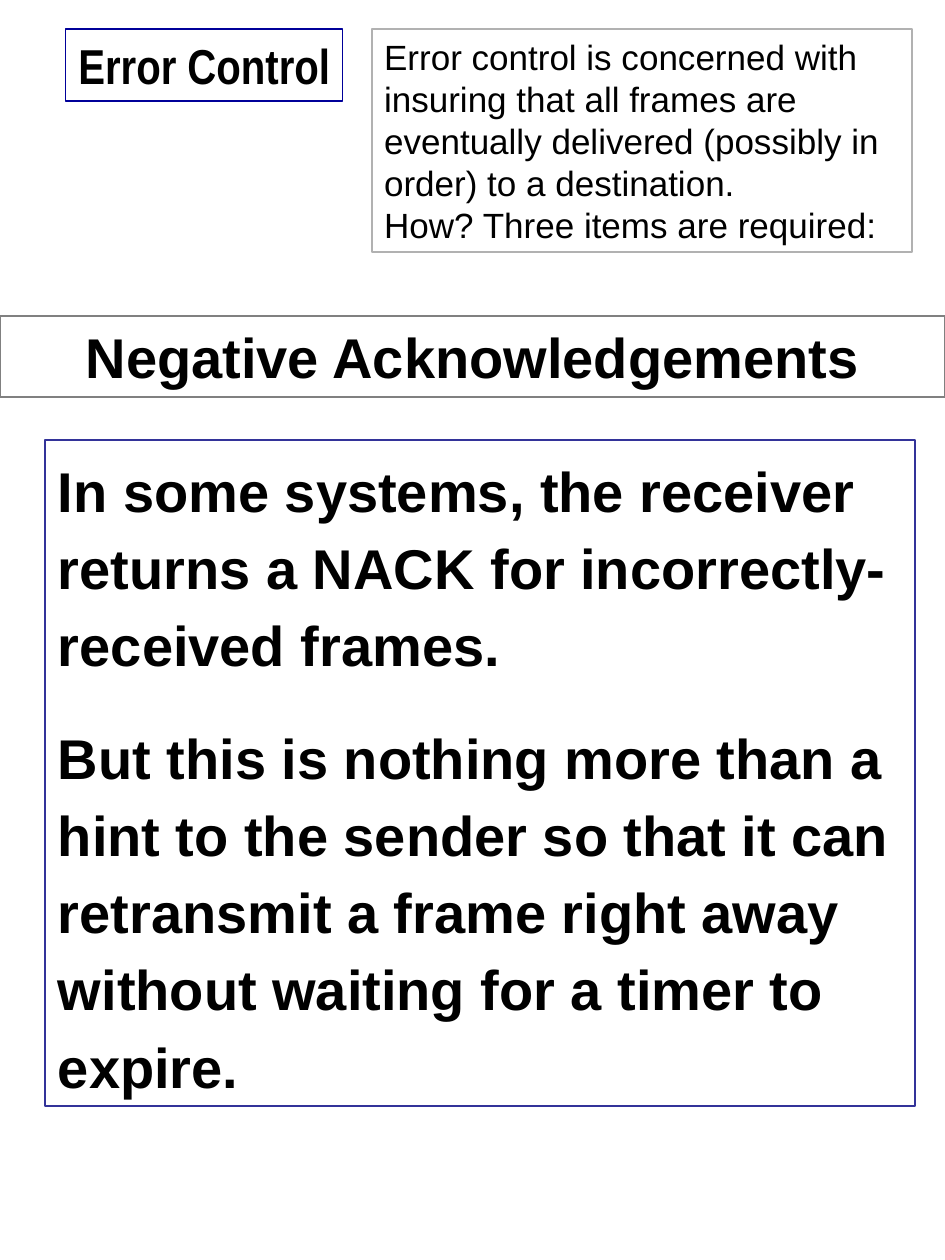
from pptx import Presentation
from pptx.dml.color import RGBColor
from pptx.enum.shapes import MSO_SHAPE
from pptx.enum.text import MSO_ANCHOR, MSO_AUTO_SIZE, PP_ALIGN
from pptx.oxml.ns import qn
from pptx.util import Pt

RECT = MSO_SHAPE.RECTANGLE
LEFT, CENTER, RIGHT = PP_ALIGN.LEFT, PP_ALIGN.CENTER, PP_ALIGN.RIGHT
TOP = MSO_ANCHOR.TOP
NO_FIT = MSO_AUTO_SIZE.NONE


def color(value):
    return RGBColor.from_string(value)


def frame_box(sp, box, line):
    """Place a shape in its box and give it a thin outline."""
    sp.left, sp.top, sp.width, sp.height = [Pt(v) for v in box]
    sp.fill.background()
    sp.line.color.rgb = color(line)
    sp.line.width = Pt(1)


def write(sp, paragraphs, size, font="Arial", bold=False, align=LEFT,
          wrap=True, spacing=1.0, gap=0):
    """Fill a shape with paragraphs that share one style."""
    tf = sp.text_frame
    tf.auto_size = NO_FIT
    tf.word_wrap = wrap
    tf.vertical_anchor = TOP
    tf.margin_left = tf.margin_right = Pt(7.2)
    tf.margin_top = tf.margin_bottom = Pt(3.6)
    for i, text in enumerate(paragraphs):
        p = tf.paragraphs[0] if i == 0 else tf.add_paragraph()
        p.alignment = align
        p.line_spacing = spacing
        p.space_before = Pt(gap if i else 0)
        p.space_after = Pt(gap)
        r = p.add_run()
        r.text = text
        r.font.name = font
        r.font.size = Pt(size)
        r.font.bold = bold
        r.font.color.rgb = color("000000")


def add_box(slide, box, line):
    sp = slide.shapes.add_shape(RECT, *[Pt(v) for v in box])
    sp.shadow.inherit = False
    frame_box(sp, box, line)
    return sp


def add_topic(slide, box):
    sp = add_box(slide, box, "000099")
    write(sp, ["Error Control"], 28, "Arial Narrow", bold=True,
          align=RIGHT, wrap=False)


def add_definition(slide, box):
    sp = add_box(slide, box, "B1B1B1")
    write(sp, ["Error control is concerned with insuring that all frames are "
               "eventually delivered (possibly in order) to a destination.",
               "How? Three items are required:"], 20)


def add_heading(slide, box):
    sp = slide.shapes.title
    frame_box(sp, box, "808080")
    write(sp, ["Negative Acknowledgements"], 32, bold=True, align=CENTER)


def add_explanation(slide, box):
    sp = slide.placeholders[1]
    frame_box(sp, box, "333399")
    write(sp, ["In some systems, the receiver returns a NACK for "
               "incorrectly-received frames.",
               "But this is nothing more than a hint to the sender so that it "
               "can retransmit a frame right away without waiting for a timer "
               "to expire."], 32, bold=True, spacing=1.15, gap=10)
    # Plain paragraphs: no bullet, no hanging indent
    for p in sp.text_frame.paragraphs:
        pPr = p._p.get_or_add_pPr()
        pPr.set("marL", "0")
        pPr.set("indent", "0")
        pPr.append(pPr.makeelement(qn("a:buNone"), {}))


def main():
    prs = Presentation()
    prs.slide_width, prs.slide_height = Pt(540), Pt(720)
    slide = prs.slides.add_slide(prs.slide_layouts[1])

    # Top row: topic and its definition
    add_topic(slide, (37.4, 16.6, 158.4, 41))
    add_definition(slide, (212.4, 16.6, 308.9, 127.4))

    # Main part: heading and explanation
    add_heading(slide, (0, 180.7, 540, 46.1))
    add_explanation(slide, (25.9, 251.3, 496.8, 380.9))

    prs.save("out.pptx")


if __name__ == "__main__":
    main()
